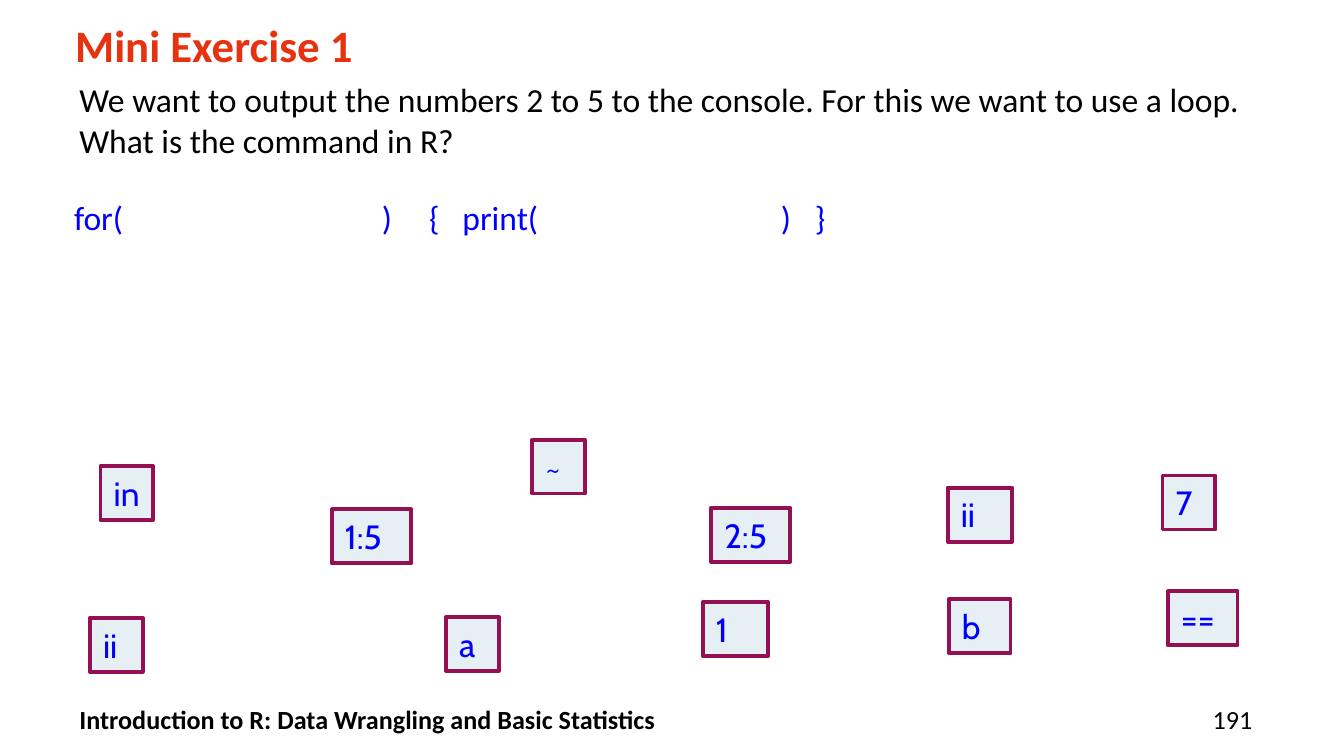
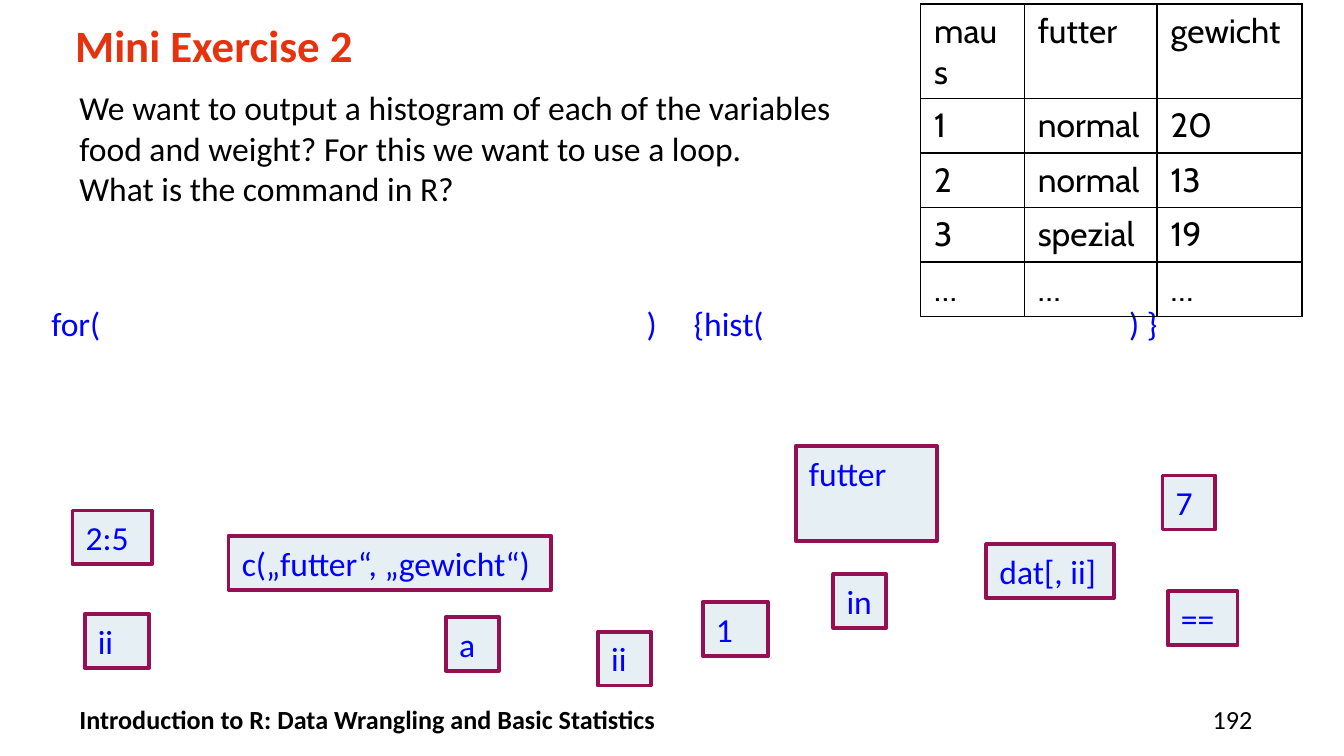
import lxml.etree
import pptx
import pptx.dml.color
import pptx.enum.shapes
import pptx.enum.text
import pptx.oxml.ns
import pptx.util

Cm = pptx.util.Cm
Pt = pptx.util.Pt
qn = pptx.oxml.ns.qn

RED = pptx.dml.color.RGBColor(0xE6, 0x32, 0x0F)
BLACK = pptx.dml.color.RGBColor(0x00, 0x00, 0x00)
BLUE = pptx.dml.color.RGBColor(0x00, 0x00, 0xFF)
PALE_BLUE = pptx.dml.color.RGBColor(0xE6, 0xEF, 0xF3)
PLUM = pptx.dml.color.RGBColor(0x95, 0x0F, 0x53)

TITLE_FONT = {"name": "Calibri", "size": Pt(24), "bold": True}
TEXT_FONT = {"name": "Calibri", "size": Pt(18)}
CABIN_FONT = {"name": "Cabin", "size": Pt(18)}
FOOTER_FONT = {"name": "Calibri", "size": Pt(14), "bold": True}
NUMBER_FONT = {"name": "Calibri", "size": Pt(14)}

TOP = pptx.enum.text.MSO_ANCHOR.TOP
MIDDLE = pptx.enum.text.MSO_ANCHOR.MIDDLE
LEFT = pptx.enum.text.PP_ALIGN.LEFT
RIGHT = pptx.enum.text.PP_ALIGN.RIGHT
PLAIN_FRAME = {
    "margin_left": 0, "margin_top": 0, "margin_right": 0, "margin_bottom": 0,
    "word_wrap": True, "auto_size": pptx.enum.text.MSO_AUTO_SIZE.NONE,
    "vertical_anchor": TOP,
}
FOOTER_FRAME = {**PLAIN_FRAME, "vertical_anchor": MIDDLE}
CHIP_FRAME = {
    "word_wrap": True, "vertical_anchor": TOP,
    "auto_size": pptx.enum.text.MSO_AUTO_SIZE.SHAPE_TO_FIT_TEXT,
}
TITLE_PARAGRAPH = {"alignment": LEFT, "line_spacing": Pt(30)}
BODY_PARAGRAPH = {"space_before": Pt(0), "space_after": Pt(6)}

FOOTER_TEXT = "Introduction to R: Data Wrangling and Basic Statistics"
CHIP_HEIGHT = 1.02
ROW_HEIGHT = 1.03

# Answer chips: text, left, top, width, height in centimetres
SHARED_CHIPS = [
    ("a", 8.43, 11.66, 1, CHIP_HEIGHT),
    ("1", 13.28, 11.38, 1.24, CHIP_HEIGHT),
    ("7", 21.97, 8.99, 1, CHIP_HEIGHT),
    ("==", 22.07, 11.18, 1.32, CHIP_HEIGHT),
]
EXERCISES = [
    {
        "title": "Mini Exercise 1",
        "number": "191",
        "task": "We want to output the numbers 2 to 5 to the console. "
                "For this we want to use a loop.\vWhat is the command in R?",
        "task_box": (1.5, 1.5, 23.11, 2.54),
        "code": "for(\t)\t{\tprint(\t)\t}",
        "code_box": (1.4, 3.73, 23.62, 1.14),
        "code_tabs": (5.82, 6.71, 7.34, 13.36, 14),
        "chip_font": CABIN_FONT,
        "chips": [
            ("in", 1.9, 8.81, 1, CHIP_HEIGHT),
            ("2:5", 13.44, 9.6, 1.5, CHIP_HEIGHT),
            ("1:5", 6.27, 9.63, 1.5, CHIP_HEIGHT),
            ("ii", 17.91, 9.22, 1.22, CHIP_HEIGHT),
            ("b", 17.93, 11.33, 1.17, CHIP_HEIGHT),
            ("ii", 1.7, 11.68, 1, CHIP_HEIGHT),
            ("~", 10.06, 8.31, 1, CHIP_HEIGHT),
        ],
    },
    {
        "title": "Mini Exercise 2",
        "number": "192",
        "task": "We want to output a histogram of each of the variables food and "
                "weight? For this we want to use a loop.\vWhat is the command in R?",
        "task_box": (1.5, 1.65, 15.19, 2.97),
        "code": "for(\t)\t{hist(\t) }",
        "code_box": (0.97, 5.72, 23.83, 1.3),
        "code_tabs": (11.25, 12.14, 20.37),
        "chip_font": TEXT_FONT,
        "chips": [
            ("in", 15.75, 10.85, 1, CHIP_HEIGHT),
            ("2:5", 1.37, 9.65, 1.5, CHIP_HEIGHT),
            ("c(„futter“, „gewicht“)", 4.32, 10.13, 6.1, CHIP_HEIGHT),
            ("ii", 1.6, 11.61, 1.22, CHIP_HEIGHT),
            ("futter", 15.04, 8.43, 2.67, 1.8),
            ("ii", 11.3, 11.94, 1, CHIP_HEIGHT),
            ("dat[, ii]", 18.64, 10.29, 2.41, CHIP_HEIGHT),
        ],
    },
]
MOUSE_COLUMNS = (1.96, 2.51, 2.74)
MOUSE_ROWS = [
    ("maus", "futter", "gewicht"),
    ("1", "normal", "20"),
    ("2", "normal", "13"),
    ("3", "spezial", "19"),
    ("…", "…", "…"),
]


def write_text(text_frame, text, font, colour, frame_format, paragraph_format):
    """Fill a text frame with one paragraph and apply the format values."""
    text_frame.text = text
    for name, value in frame_format.items():
        setattr(text_frame, name, value)
    paragraph = text_frame.paragraphs[0]
    for name, value in paragraph_format.items():
        setattr(paragraph, name, value)
    for run in paragraph.runs:
        for name, value in font.items():
            setattr(run.font, name, value)
        run.font.color.rgb = colour
    for line_break in paragraph._p.findall(qn("a:br")):
        lxml.etree.SubElement(line_break, qn("a:rPr"), sz=str(int(font["size"].pt * 100)))
    return paragraph


def place(shape, box):
    for name, length in zip(("left", "top", "width", "height"), box):
        setattr(shape, name, Cm(length))


presentation = pptx.Presentation()
presentation.slide_width = Cm(25.4)
presentation.slide_height = Cm(14.29)

for exercise in EXERCISES:
    slide = presentation.slides.add_slide(presentation.slide_layouts[1])

    title = slide.shapes.title
    place(title, (1.42, 0.3, 22.17, 1.17))
    write_text(title.text_frame, exercise["title"], TITLE_FONT, RED,
               PLAIN_FRAME, TITLE_PARAGRAPH)

    body = slide.placeholders[1]
    place(body, exercise["task_box"])
    paragraph = write_text(body.text_frame, exercise["task"], TEXT_FONT, BLACK,
                           PLAIN_FRAME, BODY_PARAGRAPH)
    properties = paragraph._p.get_or_add_pPr()
    properties.set("marL", "0")
    properties.set("indent", "0")
    lxml.etree.SubElement(properties, qn("a:buNone"))

    for text, left, top, width, height in SHARED_CHIPS + exercise["chips"]:
        chip = slide.shapes.add_shape(
            pptx.enum.shapes.MSO_SHAPE.RECTANGLE, Cm(left), Cm(top), Cm(width), Cm(height))
        chip.shadow.inherit = False
        chip.fill.solid()
        chip.fill.fore_color.rgb = PALE_BLUE
        chip.line.color.rgb = PLUM
        chip.line.width = Pt(2.08)
        write_text(chip.text_frame, text, exercise["chip_font"], BLUE,
                   CHIP_FRAME, {"alignment": LEFT})

    code = slide.shapes.add_textbox(*map(Cm, exercise["code_box"]))
    paragraph = write_text(code.text_frame, exercise["code"], TEXT_FONT, BLUE,
                           PLAIN_FRAME, {"space_after": Pt(6)})
    tab_list = lxml.etree.SubElement(paragraph._p.get_or_add_pPr(), qn("a:tabLst"))
    for position in exercise["code_tabs"]:
        lxml.etree.SubElement(tab_list, qn("a:tab"), pos=str(int(Cm(position))), algn="l")

    footer = slide.shapes.add_textbox(Cm(1.5), Cm(13.31), Cm(19.1), Cm(0.56))
    write_text(footer.text_frame, FOOTER_TEXT, FOOTER_FONT, BLACK, FOOTER_FRAME, {})
    number = slide.shapes.add_textbox(Cm(21.41), Cm(13.31), Cm(2.26), Cm(0.56))
    write_text(number.text_frame, exercise["number"], NUMBER_FONT, BLACK,
               FOOTER_FRAME, {"alignment": RIGHT})

# The mouse data belong to the second exercise
table = slide.shapes.add_table(
    len(MOUSE_ROWS), len(MOUSE_COLUMNS), Cm(17.4), Cm(0.08),
    Cm(sum(MOUSE_COLUMNS)), Cm(ROW_HEIGHT * len(MOUSE_ROWS))).table
table.first_row = False
table.horz_banding = False
for column, width in zip(table.columns, MOUSE_COLUMNS):
    column.width = Cm(width)
for row, values in zip(table.rows, MOUSE_ROWS):
    row.height = Cm(ROW_HEIGHT)
    for cell, value in zip(row.cells, values):
        write_text(cell.text_frame, value, CABIN_FONT, BLACK, {}, {})
        cell_properties = cell._tc.get_or_add_tcPr()
        for side in ("a:lnL", "a:lnR", "a:lnT", "a:lnB"):
            border = lxml.etree.SubElement(cell_properties, qn(side), w=str(int(Pt(1))))
            border_fill = lxml.etree.SubElement(border, qn("a:solidFill"))
            lxml.etree.SubElement(border_fill, qn("a:srgbClr"), val=str(BLACK))
        cell.fill.background()

presentation.save("out.pptx")
